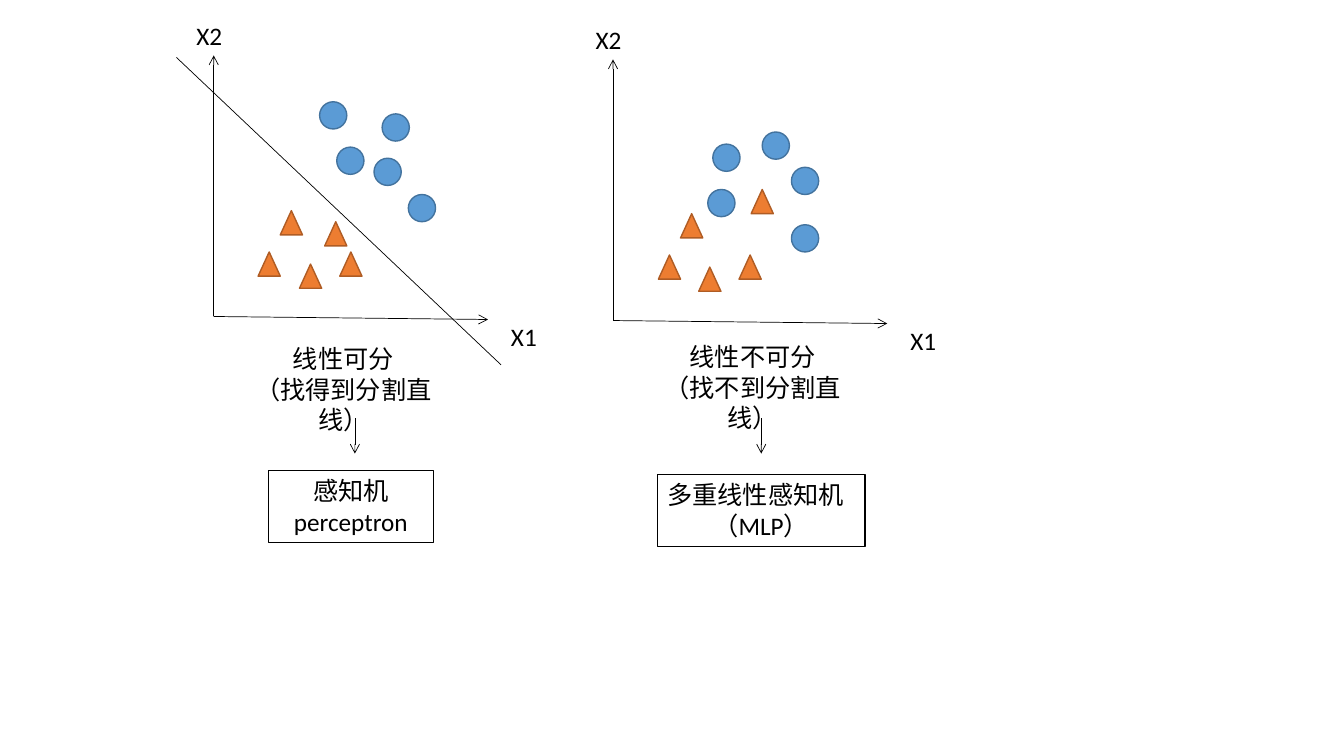
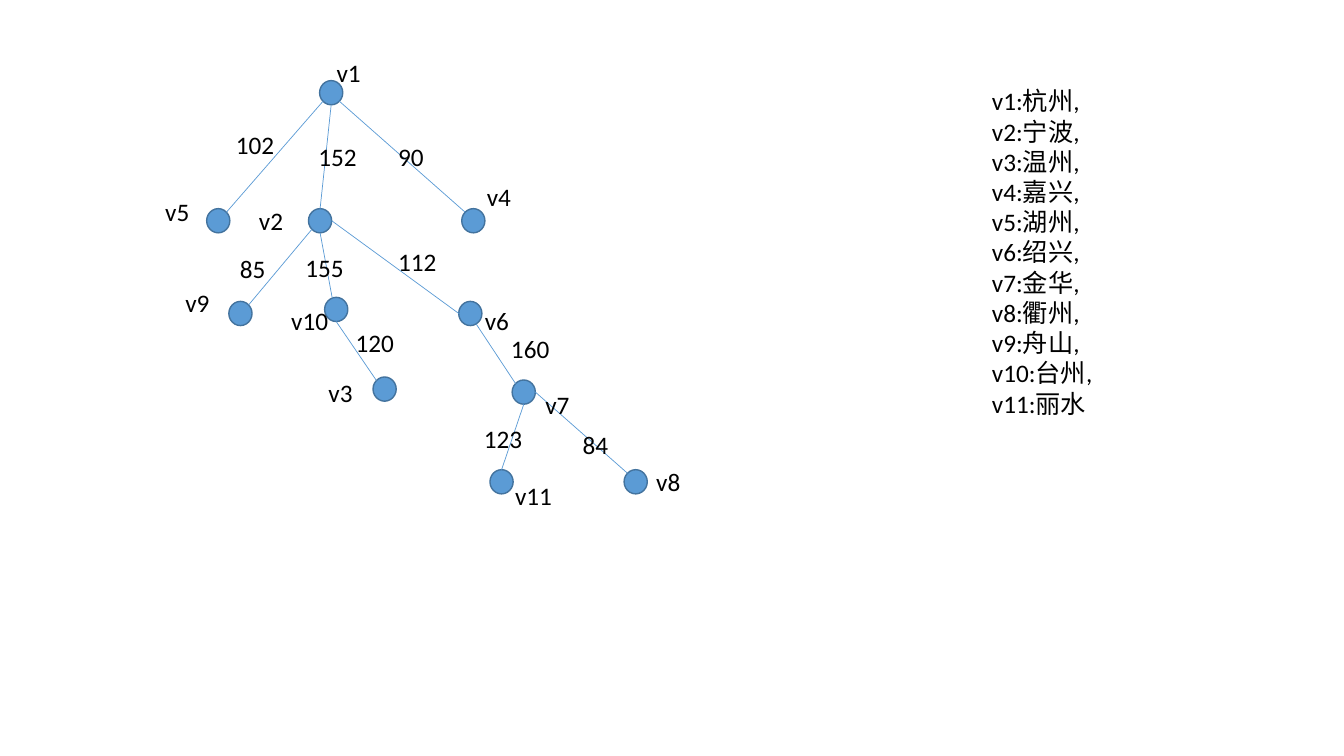
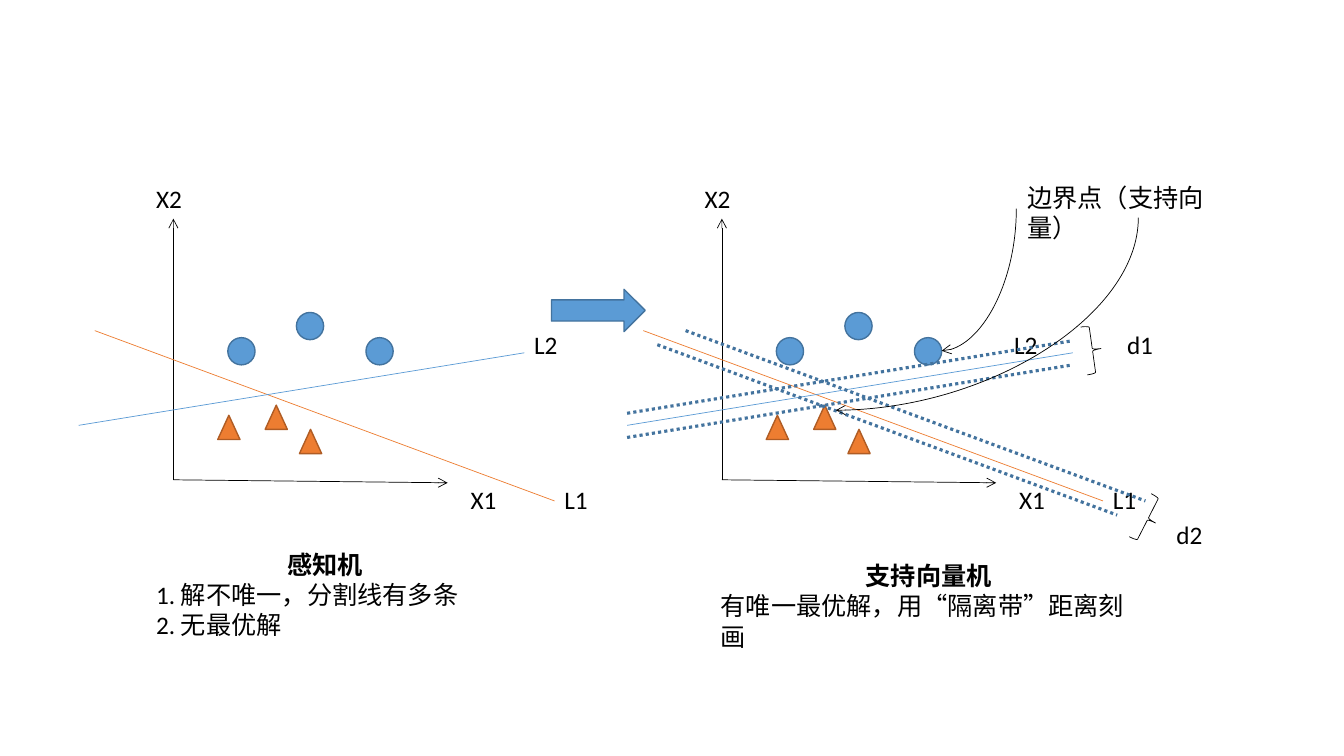
from itertools import zip_longest
from math import cos, radians, sin

from lxml.etree import SubElement
from pptx import Presentation
from pptx.dml.color import RGBColor
from pptx.enum.dml import MSO_LINE
from pptx.enum.shapes import MSO_CONNECTOR as CXN, MSO_SHAPE as SHAPE
from pptx.enum.text import MSO_AUTO_SIZE as AUTO, PP_ALIGN as ALIGN
from pptx.oxml.ns import qn
from pptx.util import Inches, Pt

CELL = 0.1
FONT = "Calibri"
BLACK, BLUE, NAVY, ORANGE, BROWN = "000000", "5B9BD5", "43739E", "ED7D31", "AF5C24"
ALIGNS = {"l": ALIGN.LEFT, "c": ALIGN.CENTER}
NODE_W, NODE_H = 2.3, 2.4


def grid(*cells):
    return [Inches(n * CELL) for n in cells]


def rgb(code):
    return RGBColor.from_string(code)


def shift(x, y, points):
    return [(x + dx, y + dy) for dx, dy in points]


def text(slide, box, content, aligns="l", bold_head=False, border=None):
    sp = slide.shapes.add_textbox(*grid(*box))
    if border:
        sp.line.color.rgb = rgb(border)
        sp.line.width = Pt(0.75)
    tf = sp.text_frame
    tf.word_wrap = True
    tf.auto_size = AUTO.SHAPE_TO_FIT_TEXT
    tf.text = content
    for i, (p, align) in enumerate(zip_longest(tf.paragraphs, aligns, fillvalue=aligns[-1])):
        p.alignment = ALIGNS[align]
        for r in p.runs:
            r.font.name = FONT
            r.font.size = Pt(18)
            r.font.bold = bold_head and i == 0
            r.font.color.rgb = rgb(BLACK)


def label(slide, at, content):
    text(slide, (*at, 7, 4), content)


def shape(slide, kind, box, fill=None, outline=BLACK, width=1, rotation=0):
    sp = slide.shapes.add_shape(kind, *grid(*box))
    sp.shadow.inherit = False
    if fill:
        sp.fill.solid()
        sp.fill.fore_color.rgb = rgb(fill)
    else:
        sp.fill.background()
    sp.line.color.rgb = rgb(outline)
    sp.line.width = Pt(width)
    sp.rotation = rotation


def line(slide, start, end, color=BLACK, width=0.5, dash=None, arrow=False, kind=CXN.STRAIGHT):
    c = slide.shapes.add_connector(kind, *grid(*start, *end))
    c.line.color.rgb = rgb(color)
    c.line.width = Pt(width)
    if dash:
        c.line.dash_style = dash
    if arrow:
        SubElement(c.get_or_add_ln(), qn("a:tailEnd"), type="arrow")
    SubElement(c.element.spPr, qn("a:effectLst"))
    return c


def curved_arrow(slide, start, end):
    (x1, y1), (x2, y2) = start, end
    mid_x, mid_y = (x1 + x2) / 2, (y1 + y2) / 2
    half_w, half_h = (y2 - y1) / 2, (x1 - x2) / 2
    c = line(slide, (mid_x - half_w, mid_y - half_h), (mid_x + half_w, mid_y + half_h),
             arrow=True, kind=CXN.CURVE)
    c.element.spPr.find(qn("a:xfrm")).set("rot", str(90 * 60000))
    c.element.spPr.find(qn("a:prstGeom")).set("prst", "curvedConnector2")


def scatter(slide, x, y, circles, triangles):
    line(slide, (x, y), (x, y - 25.9), arrow=True)
    line(slide, (x, y), (x + 27.2, y + 0.3), arrow=True)
    for at in shift(x, y, triangles):
        shape(slide, SHAPE.ISOSCELES_TRIANGLE, (*at, 2.2, 2.4), ORANGE, BROWN)
    for at in shift(x, y, circles):
        shape(slide, SHAPE.OVAL, (*at, 2.7, 2.7), BLUE, NAVY)
    label(slide, (x + 28.5, y), "X1")
    label(slide, (x - 2.7, y - 29.9), "X2")


def separability_slide(slide):
    scatter(slide, 21.2, 31.4,
            [(10.5, -21.3), (15.9, -15.7), (12.2, -16.8), (16.7, -20.1), (19.3, -12.1)],
            [(4.4, -6.4), (8.5, -5.2), (6.6, -10.5), (12.5, -6.4), (11, -9.4)])
    scatter(slide, 60.8, 31.8,
            [(9.9, -17.5), (17.7, -15.2), (9.4, -13), (14.8, -18.7), (17.7, -9.5)],
            [(4.5, -6.5), (8.5, -5.3), (6.7, -10.6), (12.5, -6.5), (13.7, -13)])
    line(slide, (17.5, 5.7), (49.7, 36.2))
    text(slide, (22.3, 33.6, 23.5, 7.1), "线性可分\n（找得到分割直线）", "c")
    text(slide, (62.6, 33.4, 24.1, 10.1), "线性不可分\n（找不到分割直线）", "c")
    text(slide, (26.6, 46.7, 16.4, 7.1), "感知机perceptron", "c", border=BLACK)
    text(slide, (65.2, 47.1, 20.6, 7.1), "多重线性感知机\n（MLP）", "lc", border=BLACK)
    for x in (35.2, 75.5):
        line(slide, (x, 41.5), (x, 45), arrow=True)


def rim(node, angle):
    x, y = node
    a = radians(angle)
    return x + NODE_W / 2 * (1 + cos(a)), y + NODE_H / 2 * (1 + sin(a))


def tree_slide(slide):
    nodes = {
        "v1": ((31.7, 8), (32.4, 5.2)),
        "v2": ((30.6, 20.7), (24.7, 19.9)),
        "v3": ((37, 37.4), (31.6, 36.9)),
        "v4": ((45.8, 20.7), (47.3, 17.5)),
        "v5": ((20.5, 20.7), (15.4, 19)),
        "v6": ((45.5, 29.9), (47.1, 29.8)),
        "v7": ((50.8, 37.7), (53.1, 38.1)),
        "v8": ((61.9, 46.6), (64.1, 45.8)),
        "v9": ((22.7, 29.9), (17.4, 28)),
        "v10": ((32.2, 29.5), (27.9, 29.8)),
        "v11": ((48.6, 46.6), (50.1, 47.2)),
    }
    edges = [
        ("v1", 135, "v5", 315, "102", (22.4, 12.3)),
        ("v1", 90, "v2", 270, "152", (30.6, 13.5)),
        ("v1", 45, "v4", 225, "90", (38.5, 13.5)),
        ("v2", 135, "v9", 315, "85", (22.8, 24.6)),
        ("v2", 90, "v10", 250, "155", (29.3, 24.5)),
        ("v2", 0, "v6", 180, "112", (38.5, 23.9)),
        ("v10", 90, "v3", 225, "120", (34.3, 32)),
        ("v6", 60, "v7", 225, "160", (49.7, 32.6)),
        ("v7", 90, "v11", 270, "123", (47, 41.5)),
        ("v7", 0, "v8", 225, "84", (56.8, 42.1)),
    ]
    cities = ["杭州", "宁波", "温州", "嘉兴", "湖州", "绍兴", "金华", "衢州", "舟山", "台州", "丽水"]
    for at, _ in nodes.values():
        shape(slide, SHAPE.OVAL, (*at, NODE_W, NODE_H), BLUE, NAVY)
    for parent, out_angle, child, in_angle, weight, at in edges:
        line(slide, rim(nodes[parent][0], out_angle), rim(nodes[child][0], in_angle), BLUE)
        label(slide, at, weight)
    for name, (_, at) in nodes.items():
        label(slide, at, name)
    legend = ",\n".join(f"{name}:{city}" for name, city in zip(nodes, cities))
    text(slide, (97.4, 8, 11.6, 34.3), legend)


def margin_slide(slide):
    y = 47.6
    left, right = 17.2, 71.6
    l1 = [(-7.8, -14.8), (37.8, 2.1)]
    l2 = [(-9.4, -5.4), (34.8, -12.6)]
    for x, l2_label in ((left, 34.8), (right, 28)):
        scatter(slide, x, y, [(5.4, -14.1), (12.2, -16.6), (19.1, -14.1)],
                [(4.4, -6.4), (12.5, -5), (9.1, -7.4)])
        line(slide, *shift(x, y, l1), ORANGE)
        line(slide, *shift(x, y, l2), BLUE)
        label(slide, (x + 37.8, y), "L1")
        label(slide, (x + l2_label, y - 15.4), "L2")
    for ends, dx, dy in ((l2, 0, -1.2), (l2, 0, 1.2), (l1, 1.4, 1.4), (l1, 4.2, 0)):
        line(slide, *shift(right + dx, y + dy, ends), NAVY, 2.25, MSO_LINE.ROUND_DOT)
    for at, angle, name, name_at in (((107.5, 32.3), 352, "d1", (110.8, 32.2)),
                                     ((113, 49.1), 27, "d2", (115.7, 51))):
        shape(slide, SHAPE.RIGHT_BRACE, (*at, 1.7, 4.8), width=0.5, rotation=angle)
        label(slide, name_at, name)
    curved_arrow(slide, (100.8, 20.7), (93.4, 34.8))
    curved_arrow(slide, (112.9, 21.6), (82.9, 40.7))
    text(slide, (100.9, 17.6, 23.8, 4), "边界点（支持向量）")
    shape(slide, SHAPE.RIGHT_ARROW, (54.7, 28.7, 9.3, 4.2), BLUE, NAVY)
    text(slide, (14.5, 54, 35.5, 10.1), "感知机\n1. 解不唯一，分割线有多条\n2. 无最优解", "cl", True)
    text(slide, (70.5, 55.1, 43.2, 7.1), "支持向量机\n有唯一最优解，用“隔离带”距离刻画", "cl", True)


def main():
    prs = Presentation()
    prs.slide_width, prs.slide_height = grid(133.3, 75)
    for build in (separability_slide, tree_slide, margin_slide):
        build(prs.slides.add_slide(prs.slide_layouts[6]))
    prs.save("out.pptx")


if __name__ == "__main__":
    main()
